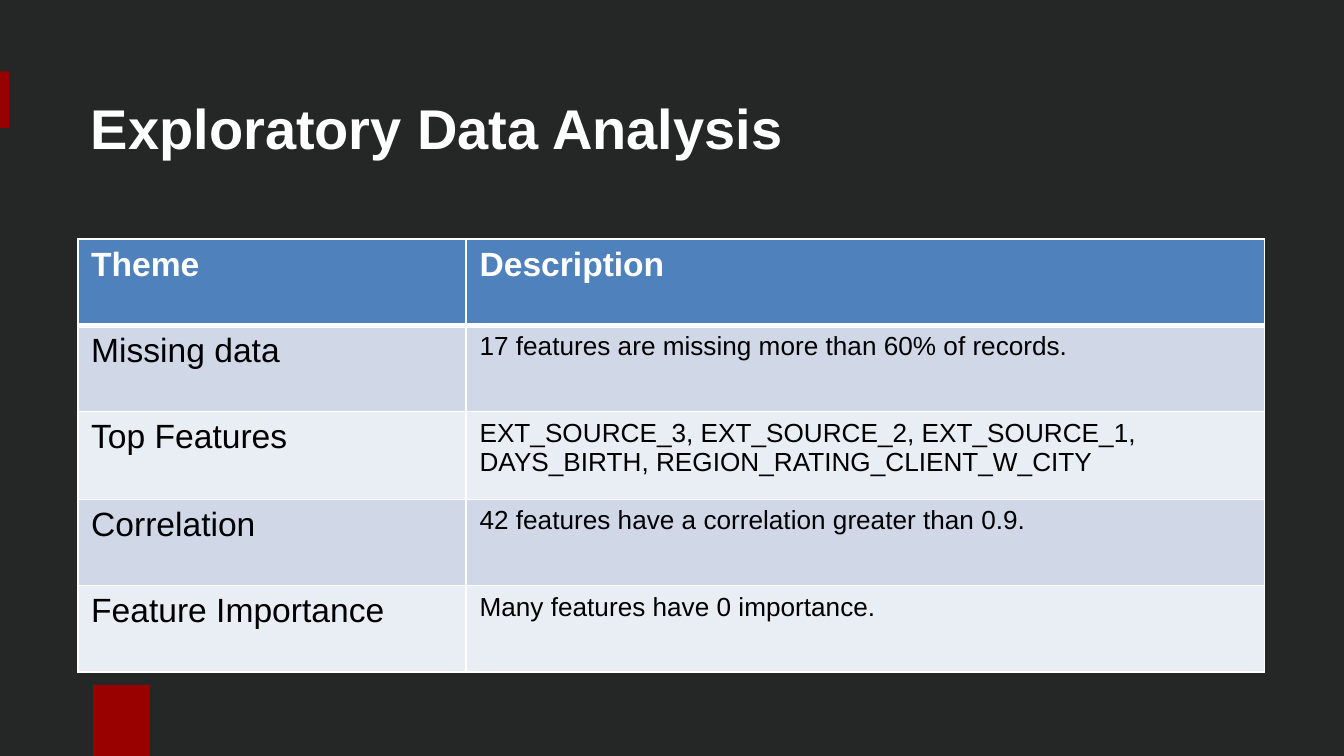
from dataclasses import dataclass

from pptx import Presentation
from pptx import util as u
from pptx.dml.color import RGBColor
from pptx.enum import shapes, text
from pptx.oxml import parse_xml
from pptx.oxml.ns import nsdecls


@dataclass(frozen=True)
class Theme:
    font: str = "Arial"
    background: str = "252626"
    accent: str = "990000"
    header: str = "4F81BD"
    bands: tuple = ("D0D8E8", "E9EDF4")
    light: str = "FFFFFF"
    dark: str = "000000"
    title_size: int = 30
    label_size: int = 18
    body_size: int = 14
    rule: int = 1
    header_rule: int = 3


class Deck:
    """Draw styled elements on the current slide."""

    def __init__(self, theme, width, height):
        self.theme = theme
        self.prs = Presentation()
        self.prs.slide_width, self.prs.slide_height = u.Cm(width), u.Cm(height)

    def slide(self):
        self.s = self.prs.slides.add_slide(self.prs.slide_layouts[6])
        self.fill(self.s.background, self.theme.background)

    def fill(self, target, color):
        target.fill.solid()
        target.fill.fore_color.rgb = RGBColor.from_string(color)

    def add_text(self, tf, words, size, color, bold=False):
        p = tf.paragraphs[0]
        r = p.add_run()
        r.text = words
        r.font.name, r.font.size, r.font.bold = self.theme.font, u.Pt(size), bold
        r.font.color.rgb = RGBColor.from_string(color)

    def block(self, *box):
        sp = self.s.shapes.add_shape(shapes.MSO_SHAPE.RECTANGLE, *map(u.Cm, box))
        sp.shadow.inherit = False
        self.fill(sp, self.theme.accent)
        sp.line.fill.background()

    def title(self, words, *box):
        tf = self.s.shapes.add_textbox(*map(u.Cm, box)).text_frame
        tf.word_wrap = True
        tf.vertical_anchor = text.MSO_ANCHOR.MIDDLE
        self.add_text(tf, words, self.theme.title_size, self.theme.light, True)

    def borders(self, cell, top, bottom):
        tc_pr = cell._tc.get_or_add_tcPr()
        rule = self.theme.rule
        widths = {"lnL": rule, "lnR": rule, "lnT": top, "lnB": bottom}
        for i, (side, width) in enumerate(widths.items()):
            tc_pr.insert(i, parse_xml(
                f'<a:{side} {nsdecls("a")} w="{u.Pt(width)}"><a:solidFill>'
                f'<a:srgbClr val="{self.theme.light}"/></a:solidFill></a:{side}>'))

    def table(self, rows, left, top, widths, heights):
        t = self.theme
        box = (left, top, sum(widths), sum(heights))
        table = self.s.shapes.add_table(
            len(rows), len(widths), *map(u.Cm, box)).table
        for column, width in zip(table.columns, widths):
            column.width = u.Cm(width)
        for i, (row, height) in enumerate(zip(rows, heights)):
            table.rows[i].height = u.Cm(height)
            head = i == 0
            for j, words in enumerate(row):
                cell = table.cell(i, j)
                self.fill(cell, t.header if head else t.bands[(i - 1) % 2])
                self.borders(cell, t.header_rule if i == 1 else t.rule,
                             t.header_rule if head else t.rule)
                size = t.label_size if head or j == 0 else t.body_size
                self.add_text(cell.text_frame, words, size,
                              t.light if head else t.dark, head)


deck = Deck(Theme(), 25.4, 14.29)
deck.slide()
deck.block(0, 1.35, 0.18, 1.07)
deck.block(1.76, 12.95, 1.07, 1.34)
deck.title("Exploratory Data Analysis", 1.47, 1.33, 14.45, 2.16)
deck.table([
    ("Theme", "Description"),
    ("Missing data", "17 features are missing more than 60% of records."),
    ("Top Features", "EXT_SOURCE_3, EXT_SOURCE_2, EXT_SOURCE_1, "
                     "DAYS_BIRTH, REGION_RATING_CLIENT_W_CITY"),
    ("Correlation", "42 features have a correlation greater than 0.9."),
    ("Feature Importance", "Many features have 0 importance."),
], 1.47, 4.52, (7.34, 15.09), (1.63, 1.63, 1.66, 1.63, 1.63))
deck.prs.save("out.pptx")
